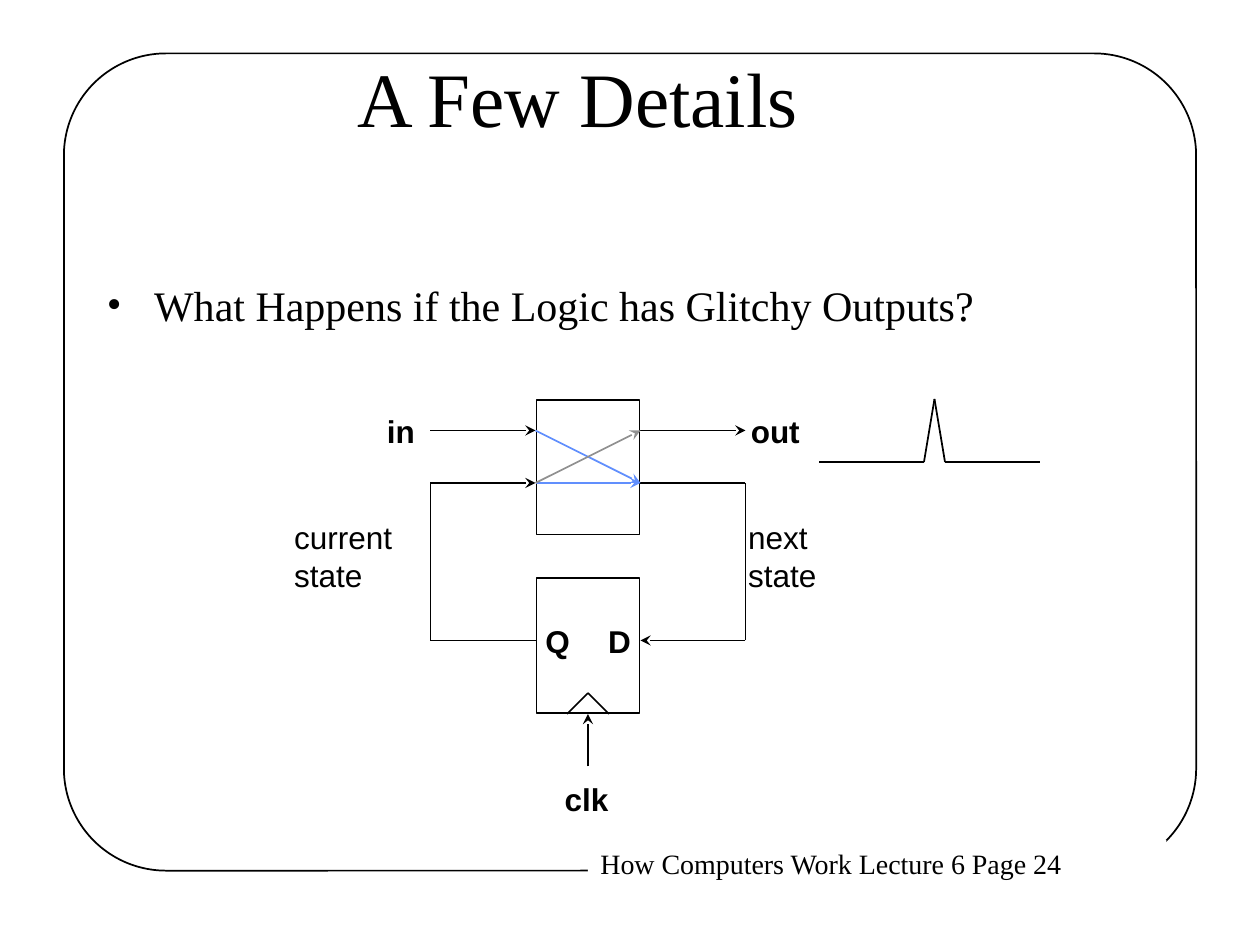
from typing import NamedTuple
from lxml.etree import SubElement
from pptx import Presentation
from pptx.dml.color import RGBColor as RGB
from pptx.enum.shapes import MSO_CONNECTOR as LINK, MSO_SHAPE as FORM
from pptx.enum.text import MSO_ANCHOR as ANCHOR, PP_ALIGN as ALIGN
from pptx.oxml.ns import qn
from pptx.util import Pt

INK = {"black": "000000", "white": "FFFFFF", "blue": "618FFD", "gray": "919191"}
SERIF, SANS = "Times New Roman", "Arial"
LEFT, IN, OUT, RIGHT = 246, 306, 366, 426
TOP, LOOP, REG = 246, 276, 366
MID, BASE = 336, 408


class Box(NamedTuple):
    x: float
    y: float
    w: float
    h: float


class Label(NamedTuple):
    text: str
    box: Box
    size: float = 18
    face: str = SANS
    bold: bool = False
    wrap: bool = False
    align: ALIGN = ALIGN.LEFT
    anchor: ANCHOR = ANCHOR.TOP


class Wire(NamedTuple):
    points: list[tuple[float, float]]
    arrow: bool = False
    color: str = "black"


deck = Presentation()
deck.slide_width, deck.slide_height = Pt(720), Pt(540)
slide = deck.slides.add_slide(deck.slide_layouts[6])
shapes = slide.shapes


def rgb(name: str) -> RGB:
    return RGB.from_string(INK[name])


def block(box: Box, form: FORM = FORM.RECTANGLE, edge: bool = True):
    shape = shapes.add_shape(form, *map(Pt, box))
    shape.shadow.inherit = False
    shape.fill.solid()
    shape.fill.fore_color.rgb = rgb("white")
    if edge:
        shape.line.color.rgb = rgb("black")
        shape.line.width = Pt(1)
    else:
        shape.line.fill.background()
    return shape


def write(label: Label, shape=None):
    shape = shape or shapes.add_textbox(*map(Pt, label.box))
    frame = shape.text_frame
    frame.text = label.text
    frame.word_wrap = label.wrap
    frame.vertical_anchor = label.anchor
    for par in frame.paragraphs:
        par.alignment = label.align
        font = par.font
        font.name, font.size, font.bold = label.face, Pt(label.size), label.bold
        font.color.rgb = rgb("black")
    return shape


def bullet(shape) -> None:
    par = shape.text_frame.paragraphs[0]
    par.space_before = Pt(6)
    props = par._p.get_or_add_pPr()
    props.set("marL", str(Pt(27)))
    props.set("indent", str(Pt(-27)))
    SubElement(props, qn("a:buFont"), typeface=SERIF)
    SubElement(props, qn("a:buChar"), char="•")


def draw(wire: Wire) -> None:
    for start, end in zip(wire.points, wire.points[1:]):
        link = shapes.add_connector(LINK.STRAIGHT, *map(Pt, start + end))
        link.line.color.rgb = rgb(wire.color)
        link.line.width = Pt(1)
        if wire.arrow and end == wire.points[-1]:
            SubElement(link.line._get_or_add_ln(), qn("a:tailEnd"), type="stealth")
        SubElement(link._element.spPr, qn("a:effectLst"))


block(Box(36.5, 30.5, 647, 467), FORM.ROUNDED_RECTANGLE).adjustments[0] = 0.125
foot = Label("How Computers Work Lecture 6 Page 24", Box(336, 480, 330.5, 26.6), 16, SERIF)
write(foot, block(foot.box, edge=False))
write(Label("A Few Details", Box(120, 41, 420, 29), 44, SERIF,
            wrap=True, align=ALIGN.CENTER, anchor=ANCHOR.MIDDLE))
bullet(write(Label("What Happens if the Logic has Glitchy Outputs?",
                   Box(54, 156, 612, 324), 24, SERIF, wrap=True)))

for y in (228.5, 330.5):
    block(Box(306.5, y, 59, 77))

WIRES = [
    Wire([(LEFT, TOP), (IN, TOP)], True),
    Wire([(OUT, TOP), (RIGHT, TOP)], True),
    Wire([(OUT, LOOP), (RIGHT, LOOP), (RIGHT, REG), (OUT, REG)], True),
    Wire([(IN, REG), (LEFT, REG), (LEFT, LOOP), (IN, LOOP)], True),
    Wire([(MID, 438), (MID, BASE)], True),
    Wire([(MID - 12, BASE), (MID, BASE - 12), (MID + 12, BASE)]),
    Wire([(IN, TOP), (OUT, LOOP)], True, "blue"),
    Wire([(IN, LOOP), (OUT, LOOP)], True, "blue"),
    Wire([(IN, LOOP), (OUT, TOP)], True, "gray"),
    Wire([(468, 264), (528, 264), (534, 228), (540, 264), (594, 264)]),
]
for wire in WIRES:
    draw(wire)

LABELS = [
    Label("in", Box(214, 232, 31.5, 29), bold=True),
    Label("out", Box(422, 232, 45, 29), bold=True),
    Label("Q", Box(304.5, 352, 29, 29), bold=True),
    Label("D", Box(340.5, 352, 28, 29), bold=True),
    Label("clk", Box(315.5, 442, 40, 29), bold=True),
    Label("next\nstate", Box(420.5, 292.5, 56, 50.5)),
    Label("current\nstate", Box(161, 292.5, 77, 50.5)),
]
for label in LABELS:
    write(label)

deck.save("out.pptx")
